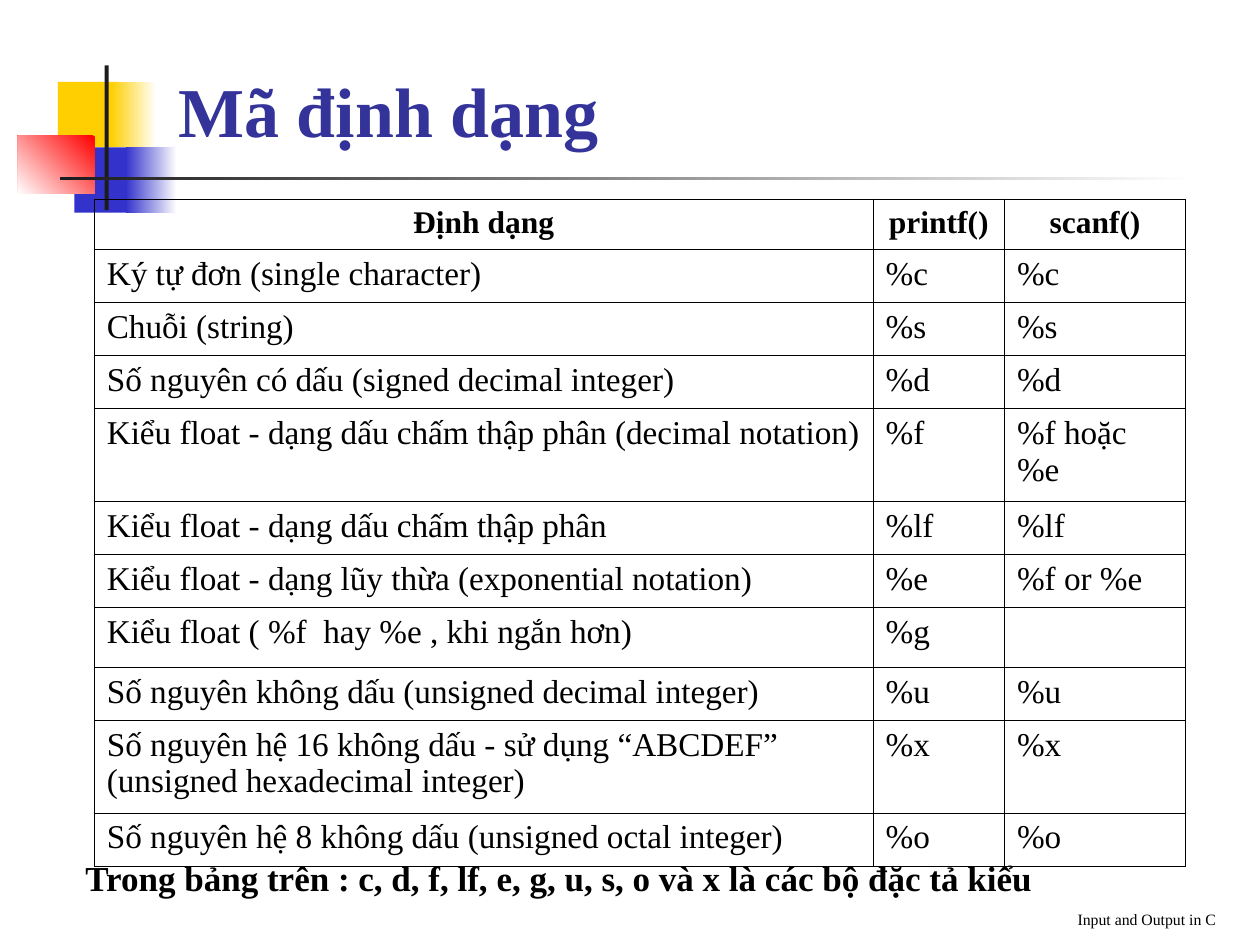
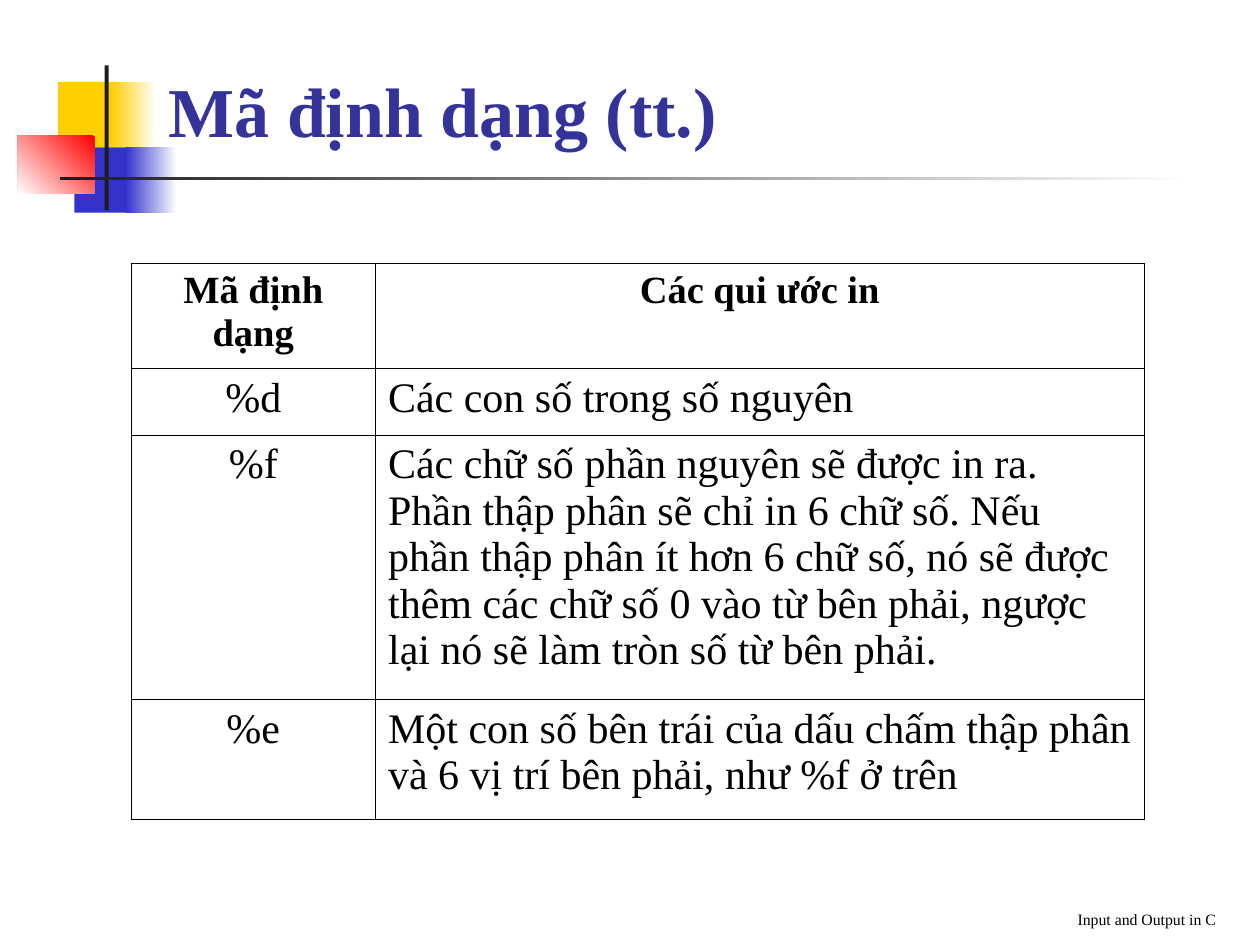
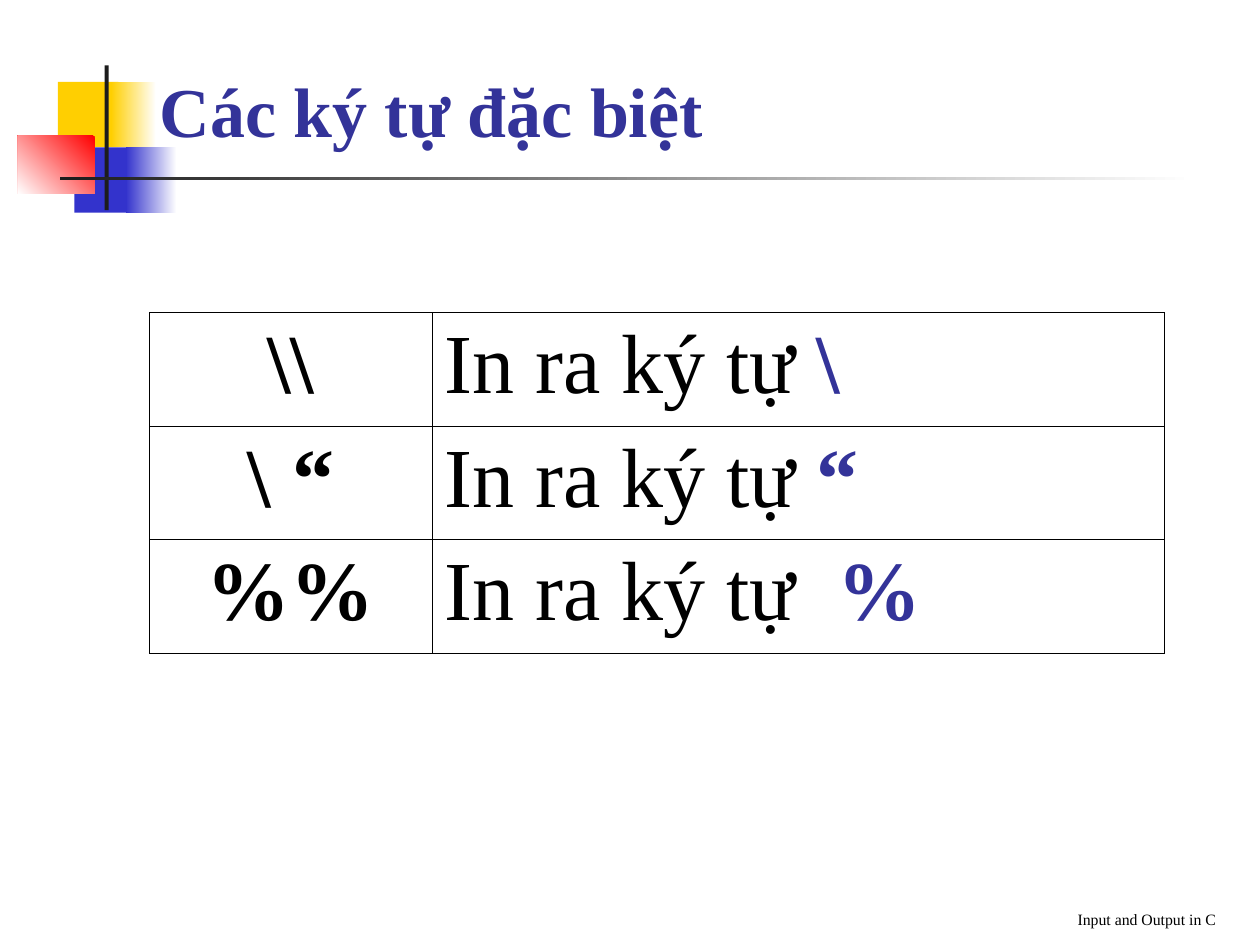
from dataclasses import dataclass

from lxml.etree import SubElement
from pptx import Presentation
from pptx.dml.color import RGBColor
from pptx.enum.shapes import MSO_SHAPE as Shape
from pptx.enum.text import MSO_ANCHOR as Anchor, PP_ALIGN as Align
from pptx.oxml.ns import qn
from pptx.slide import Slide
from pptx.util import Cm, Pt

# Shared look
FONT = "Times New Roman"
BLACK = RGBColor(0x00, 0x00, 0x00)
WHITE = RGBColor(0xFF, 0xFF, 0xFF)
NAVY = RGBColor(0x33, 0x33, 0x99)
YELLOW = RGBColor(0xFF, 0xCF, 0x01)
BLUE = RGBColor(0x33, 0x33, 0xCC)
RED = RGBColor(0xFF, 0x00, 0x00)
CHARCOAL = RGBColor(0x1C, 0x1C, 0x1C)
FOOTER = "Input and Output in C"
BORDER = Pt(0.45)


@dataclass(frozen=True)
class Box:
    left: float
    top: float
    width: float
    height: float

    def lengths(self) -> tuple:
        return Cm(self.left), Cm(self.top), Cm(self.width), Cm(self.height)


@dataclass(frozen=True)
class Block:
    """A rectangle of the emblem, plain or fading from start to end."""
    box: Box
    start: RGBColor
    end: RGBColor | None = None
    angle: int = 180


@dataclass(frozen=True)
class Run:
    text: str
    size: float
    bold: bool = False
    color: RGBColor = BLACK


@dataclass(frozen=True)
class Cell:
    runs: tuple[Run, ...]
    align: Align = Align.LEFT


@dataclass(frozen=True)
class Grid:
    left: float
    top: float
    widths: list[float]
    heights: list[float]
    rows: list[list[Cell]]


EMBLEM = [
    Block(Box(1.17, 1.65, 1.22, 1.32), YELLOW),
    Block(Box(2.24, 1.65, 0.91, 1.32), WHITE, YELLOW),
    Block(Box(1.5, 2.97, 1.17, 1.32), BLUE),
    Block(Box(2.54, 2.97, 1.02, 1.32), WHITE, BLUE),
    Block(Box(0.36, 2.74, 1.55, 1.17), RED, WHITE, 225),
    Block(Box(2.11, 1.32, 0.08, 2.92), CHARCOAL),
    Block(Box(1.22, 3.56, 22.86, 0.08), WHITE, CHARCOAL),
]


def heading(text: str, size: float) -> Cell:
    return Cell((Run(text, size, bold=True),), Align.CENTER)


def entry(text: str, size: float, align: Align = Align.LEFT) -> Cell:
    return Cell((Run(text, size),), align)


def add_runs(paragraph, runs: tuple[Run, ...], align: Align) -> None:
    paragraph.alignment = align
    for part in runs:
        run = paragraph.add_run()
        run.text = part.text
        run.font.name = FONT
        run.font.size = Pt(part.size)
        run.font.bold = part.bold
        run.font.color.rgb = part.color


def add_block(slide: Slide, block: Block) -> None:
    rect = slide.shapes.add_shape(Shape.RECTANGLE, *block.box.lengths())
    rect.shadow.inherit = False
    rect.line.fill.background()
    if block.end is None:
        rect.fill.solid()
        rect.fill.fore_color.rgb = block.start
        return
    rect.fill.gradient()
    rect.fill.gradient_angle = block.angle
    for stop, color in zip(rect.fill.gradient_stops, (block.start, block.end)):
        stop.color.rgb = color


def add_text(slide: Slide, box: Box, run: Run, align: Align = Align.LEFT,
             anchor: Anchor = Anchor.BOTTOM) -> None:
    frame = slide.shapes.add_textbox(*box.lengths()).text_frame
    frame.word_wrap = True
    frame.vertical_anchor = anchor
    add_runs(frame.paragraphs[0], (run,), align)


def add_borders(cell) -> None:
    properties = cell._tc.get_or_add_tcPr()
    for side in ("a:lnL", "a:lnR", "a:lnT", "a:lnB"):
        line = SubElement(properties, qn(side), w=str(BORDER))
        fill = SubElement(line, qn("a:solidFill"))
        SubElement(fill, qn("a:srgbClr"), val=str(BLACK))


def add_grid(slide: Slide, grid: Grid) -> None:
    box = Box(grid.left, grid.top, sum(grid.widths), sum(grid.heights))
    table = slide.shapes.add_table(
        len(grid.heights), len(grid.widths), *box.lengths()).table
    table.first_row = table.horz_banding = False
    for column, width in zip(table.columns, grid.widths):
        column.width = Cm(width)
    for row, height, contents in zip(table.rows, grid.heights, grid.rows):
        row.height = Cm(height)
        for cell, content in zip(row.cells, contents):
            add_borders(cell)
            cell.fill.background()
            add_runs(cell.text_frame.paragraphs[0], content.runs, content.align)


def add_page(deck, title: str, left: float, width: float, grid: Grid) -> Slide:
    """Add a slide with emblem, title, table and footer."""
    slide = deck.slides.add_slide(deck.slide_layouts[6])
    for block in EMBLEM:
        add_block(slide, block)
    add_text(slide, Box(left, 1.09, width, 2.08), Run(title, 40, True, NAVY))
    add_grid(slide, grid)
    add_text(slide, Box(9.32, 17.58, 15.44, 1.27), Run(FOOTER, 9), Align.RIGHT)
    return slide


# Format codes of printf() and scanf()
CODES = [
    ("Ký tự đơn (single character)", "%c", "%c"),
    ("Chuỗi (string)", "%s", "%s"),
    ("Số nguyên có dấu (signed decimal integer)", "%d", "%d"),
    ("Kiểu float - dạng dấu chấm thập phân (decimal notation)", "%f", "%f hoặc %e"),
    ("Kiểu float - dạng dấu chấm thập phân", "%lf", "%lf"),
    ("Kiểu float - dạng lũy thừa (exponential notation)", "%e", "%f or %e"),
    ("Kiểu float ( %f  hay %e , khi ngắn hơn)", "%g", ""),
    ("Số nguyên không dấu (unsigned decimal integer)", "%u", "%u"),
    ("Số nguyên hệ 16 không dấu - sử dụng “ABCDEF” (unsigned hexadecimal integer)",
     "%x", "%x"),
    ("Số nguyên hệ 8 không dấu (unsigned octal integer)", "%o", "%o"),
]
SINGLE, DOUBLE = 1.07, 1.87
CODE_GRID = Grid(
    1.9, 4.01, [15.7, 2.65, 3.65],
    [1.02] + [SINGLE] * 3 + [DOUBLE] + [SINGLE] * 2 + [1.2, SINGLE, DOUBLE, SINGLE],
    [[heading(text, 18) for text in ("Định dạng", "printf()", "scanf()")]]
    + [[entry(text, 19) if text else Cell(()) for text in code] for code in CODES],
)

# Printing conventions
CONVENTIONS = [
    ("%d", "Các con số trong số nguyên"),
    ("%f", "Các chữ số phần nguyên sẽ được in ra. Phần thập phân sẽ chỉ in 6 chữ số. "
           "Nếu phần thập phân ít hơn 6 chữ số, nó sẽ được thêm các chữ số 0 vào từ "
           "bên phải, ngược lại nó sẽ làm tròn số từ bên phải."),
    ("%e", "Một con số bên trái của dấu chấm thập phân và 6 vị trí bên phải, "
           "như %f ở trên"),
]
CONVENTION_GRID = Grid(
    2.64, 5.31, [4.93, 15.49], [2.12, 1.34, 5.33, 2.41],
    [[heading("Mã định dạng", 22), heading("Các qui ước in", 22)]]
    + [[entry(code, 24, Align.CENTER), entry(rule, 24)] for code, rule in CONVENTIONS],
)

# Special characters
SPECIALS = [
    (r"\\", "In ra ký tự ", "\\"),
    (r"\ “", "In ra ký tự ", "“"),
    ("%%", "In ra ký tự  ", "%"),
]
SPECIAL_GRID = Grid(
    3.02, 6.3, [5.69, 14.76], [2.29] * len(SPECIALS),
    [[heading(code, 48), Cell((Run(lead, 48), Run(symbol, 48, True, NAVY)))]
     for code, lead, symbol in SPECIALS],
)


def main() -> None:
    deck = Presentation()
    deck.slide_width, deck.slide_height = Cm(25.4), Cm(19.05)

    codes = add_page(deck, "Mã định dạng", 3.35, 14.86, CODE_GRID)
    add_text(codes, Box(1.47, 17.15, 22.66, 1.12),
             Run("Trong bảng trên : c, d, f, lf, e, g, u, s, o và x "
                 "là các bộ đặc tả kiểu", 20, bold=True), anchor=Anchor.TOP)
    add_page(deck, "Mã định dạng (tt.)", 3.15, 18.44, CONVENTION_GRID)
    add_page(deck, "Các ký tự đặc biệt", 2.97, 16.33, SPECIAL_GRID)

    deck.save("out.pptx")


if __name__ == "__main__":
    main()
